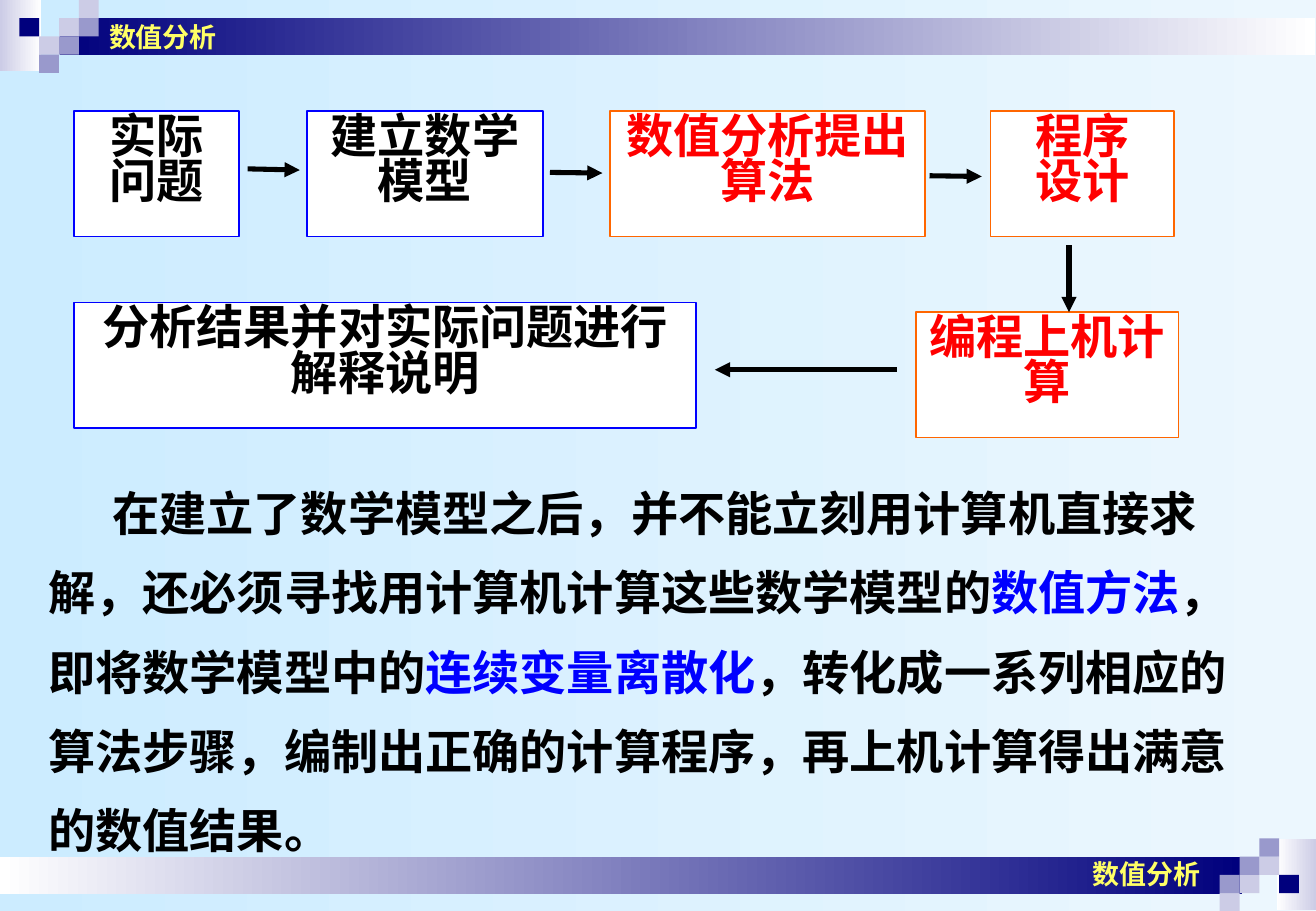
from dataclasses import dataclass

import lxml.etree
import pptx
import pptx.dml.color
import pptx.enum.shapes
import pptx.enum.text
import pptx.oxml
import pptx.oxml.ns
import pptx.util

Pt = pptx.util.Pt
qn = pptx.oxml.ns.qn
ALIGN = pptx.enum.text.PP_ALIGN

COLORS = {
    "white": "FFFFFF", "black": "000000", "navy": "00007D",
    "lavender": "CCCCE6", "violet": "9999CC", "yellow": "FFFF66",
    "blue": "0000FF", "red": "FF0000", "orange": "FF6600",
    "sky": "CCECFF", "pale": "ECF7FE",
}
CJK_FONT = "Noto Sans CJK SC"
SLIDE_W, SLIDE_H = 780.48, 540
CELL_W, CELL_H = 11.75, 10.8


@dataclass
class Band:
    x: float
    y: float
    w: float
    h: float
    left: str
    right: str


@dataclass
class Step:
    x: float
    y: float
    w: float
    lines: list[str]
    line: str
    color: str


@dataclass
class Arrow:
    x1: float
    y1: float
    x2: float
    y2: float


@dataclass
class Corner:
    x: float
    y: float
    mirrored: bool


CORNER_CELLS = {
    (0, 1): "navy",
    (2, 1): "lavender", (3, 0): "lavender", (1, 2): "lavender",
    (3, 1): "violet", (2, 2): "violet", (1, 3): "violet",
}
BANDS = [
    Band(0, 0, 24.5, 42, "lavender", "white"),
    Band(35.3, 10.8, 744.8, 21.6, "navy", "white"),
    Band(0, 508.3, 736.6, 21.6, "white", "navy"),
    Band(757.2, 497.5, 23.28, 42, "white", "lavender"),
]
CORNERS = [Corner(11.5, 0, False), Corner(723.4, 497, True)]
LABELS = [(57.6, 8.64), (640.8, 504.7)]
STEPS = [
    Step(44.1, 65.7, 97.5, ["实际问题"], "blue", "black"),
    Step(182, 65.7, 140, ["建立数学模型"], "blue", "black"),
    Step(361.7, 65.7, 187, ["数值分析提出算法"], "orange", "red"),
    Step(587.5, 65.7, 109, ["程序", "设计"], "orange", "red"),
    Step(543.2, 185, 155.7, ["编程上机计算"], "orange", "red"),
    Step(44.1, 179.4, 368.8, ["分析结果并对实际问题进行解释说明"], "blue", "black"),
]
STEP_H = 74.5
ARROWS = [
    Arrow(146.9, 100.1, 177.8, 100.8),
    Arrow(326.2, 102.2, 357.3, 102.6),
    Arrow(551.3, 104.2, 582.3, 104.6),
    Arrow(634, 145.4, 634, 185),
    Arrow(532, 219.2, 424, 219.2),
]
BODY = [
    ("在建立了数学模型之后，并不能立刻用计算机直接求解，"
     "还必须寻找用计算机计算这些数学模型的", "black"),
    ("数值方法", "blue"),
    ("，即将数学模型中的", "black"),
    ("连续变量离散化", "blue"),
    ("，转化成一系列相应的算法步骤，编制出正确的计算程序，"
     "再上机计算得出满意的数值结果。", "black"),
]


def rgb(name: str) -> pptx.dml.color.RGBColor:
    return pptx.dml.color.RGBColor.from_string(COLORS[name])


def set_gradient(fill, left: str, right: str) -> None:
    fill.gradient()
    fill.gradient_angle = 0
    for stop, name in zip(fill.gradient_stops, (left, right)):
        stop.color.rgb = rgb(name)


def add_run(p, text: str, size: float, font: str, color: str) -> None:
    r = p.add_run()
    r.text = text
    r.font.size = Pt(size)
    r.font.bold = True
    r.font.name = font
    r.font.color.rgb = rgb(color)
    ea = lxml.etree.SubElement(r.font._element, qn("a:ea"))
    ea.set("typeface", CJK_FONT)


def add_rect(slide, x: float, y: float, w: float, h: float):
    sp = slide.shapes.add_shape(pptx.enum.shapes.MSO_SHAPE.RECTANGLE,
                                Pt(x), Pt(y), Pt(w), Pt(h))
    sp.shadow.inherit = False
    sp.line.fill.background()
    return sp


def add_band(slide, band: Band) -> None:
    sp = add_rect(slide, band.x, band.y, band.w, band.h)
    set_gradient(sp.fill, band.left, band.right)


def add_corner(slide, corner: Corner) -> None:
    for (col, row), color in CORNER_CELLS.items():
        if corner.mirrored:
            col, row = 3 - col, 3 - row
        sp = add_rect(slide, corner.x + col * CELL_W, corner.y + row * CELL_H,
                      CELL_W, CELL_H)
        sp.fill.solid()
        sp.fill.fore_color.rgb = rgb(color)


def add_label(slide, x: float, y: float) -> None:
    tf = slide.shapes.add_textbox(Pt(x), Pt(y), Pt(82), Pt(26.6)).text_frame
    tf.word_wrap = True
    add_run(tf.paragraphs[0], "数值分析", 16, "Arial", "yellow")


def add_step(slide, step: Step) -> None:
    sp = add_rect(slide, step.x, step.y, step.w, STEP_H)
    sp.fill.solid()
    sp.fill.fore_color.rgb = rgb("white")
    sp.line.color.rgb = rgb(step.line)
    sp.line.width = Pt(1)
    tf = sp.text_frame
    tf.word_wrap = True
    tf.vertical_anchor = pptx.enum.text.MSO_ANCHOR.TOP
    for i, text in enumerate(step.lines):
        p = tf.add_paragraph() if i else tf.paragraphs[0]
        p.alignment = ALIGN.CENTER
        p.line_spacing = 0.8
        add_run(p, text, 28, "Times New Roman", step.color)


def add_arrow(slide, arrow: Arrow) -> None:
    cxn = slide.shapes.add_connector(
        pptx.enum.shapes.MSO_CONNECTOR.STRAIGHT,
        Pt(arrow.x1), Pt(arrow.y1), Pt(arrow.x2), Pt(arrow.y2))
    cxn.line.color.rgb = rgb("black")
    cxn.line.width = Pt(3)
    sp_pr = cxn._element.spPr
    tail = lxml.etree.SubElement(sp_pr.find(qn("a:ln")), qn("a:tailEnd"))
    tail.set("type", "triangle")
    lxml.etree.SubElement(sp_pr, qn("a:effectLst"))


def add_body(slide) -> None:
    tf = slide.shapes.add_textbox(Pt(21.6), Pt(270), Pt(728), Pt(242.6)).text_frame
    tf.word_wrap = True
    p = tf.paragraphs[0]
    p.line_spacing = 1.4
    p.space_before = Pt(17.5)
    # First-line indent, with punctuation kept inside the margin
    p_pr = p._p.get_or_add_pPr()
    p_pr.set("indent", str(Pt(38)))
    p_pr.set("hangingPunct", "0")
    for text, color in BODY:
        add_run(p, text, 28, CJK_FONT, color)


def main() -> None:
    prs = pptx.Presentation()
    prs.slide_width, prs.slide_height = Pt(SLIDE_W), Pt(SLIDE_H)
    slide = prs.slides.add_slide(prs.slide_layouts[6])
    set_gradient(slide.background.fill, "sky", "pale")

    # Header and footer decoration
    for band in BANDS:
        add_band(slide, band)
    for corner in CORNERS:
        add_corner(slide, corner)
    for x, y in LABELS:
        add_label(slide, x, y)

    # Problem-solving flow
    for step in STEPS:
        add_step(slide, step)
    for arrow in ARROWS:
        add_arrow(slide, arrow)

    # Explanation
    add_body(slide)
    prs.save("out.pptx")


if __name__ == "__main__":
    main()
